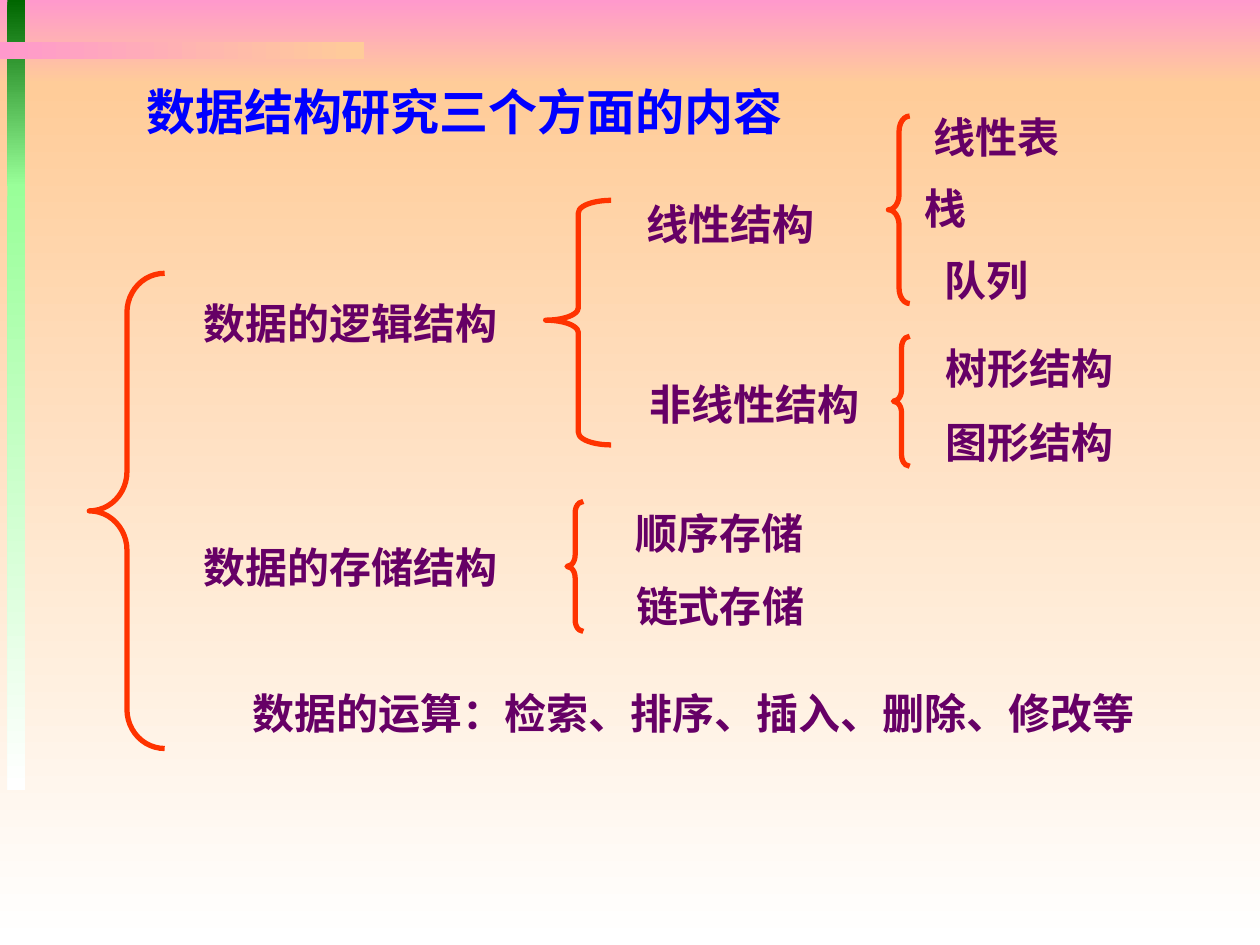
from pptx import Presentation
from pptx.dml.color import RGBColor as Rgb
from pptx.enum.shapes import MSO_SHAPE as Kind
from pptx.enum.text import MSO_ANCHOR as Anchor, MSO_AUTO_SIZE as Auto, PP_ALIGN as Align
from pptx.util import Cm, Pt

HUES = {
    "pink": "FF99CC", "peach": "FFCC99", "white": "FFFFFF",
    "green": "006600", "mint": "99FF99",
    "brace": "FF3300", "text": "660066", "title": "0000FF",
}
DOWN, ACROSS = 270, 0

BANDS = [
    ((0, 0, 25.4, 1.7), "pink", "peach", DOWN),
    ((0, 1.7, 25.4, 17.35), "peach", "white", DOWN),
    ((0.15, 0, 0.36, 3.76), "green", "mint", DOWN),
    ((0.15, 3.71, 0.36, 12.22), "mint", "white", DOWN),
    ((0, 0.84, 7.34, 0.36), "pink", "peach", ACROSS),
]

TREE = [
    ((1.8, 5.51, 1.52, 9.58), 0.52, 0.5, [
        ("数据的逻辑结构", 1.5, 0.28, 7.52, 1.45),
        ("数据的存储结构", 1.5, 5.18, 7.52, 1.45),
        ("数据的运算：检索、排序、插入、删除、修改等", 2.8, 8.13, 18.77, 1.45)]),
    ((11, 4.04, 1.32, 4.93), 0.19, 0.49, [
        ("线性结构", 1.24, -0.26, 4.98, 1.45),
        ("非线性结构", 1.62, 3.38, 5.18, 1.45)]),
    ((17.91, 2.34, 0.43, 3.78), 0.71, 0.5, [
        ("线性表", 0.66, -0.21, 3.05, 1.27),
        ("栈", 0.48, 1.22, 1.35, 1.27),
        ("队列", 0.45, 2.66, 3.05, 1.27)]),
    ((18.01, 6.78, 0.33, 2.62), 0.69, 0.5, [
        ("树形结构", 0.79, 0, 3.89, 1.27),
        ("图形结构", 0.79, 1.48, 3.89, 1.27)]),
    ((11.43, 10.11, 0.33, 2.62), 0.69, 0.5, [
        ("顺序存储", 0.84, -0.1, 4.47, 1.45),
        ("链式存储", 0.33, 1.37, 5.51, 1.45)]),
]


def color(name):
    """Return the named colour."""
    return Rgb.from_string(HUES[name])


def span(box):
    """Turn a box in centimetres into lengths."""
    return [Cm(n) for n in box]


def write(frame, text, size, hue, wrap):
    """Put one centred bold line in a text frame."""
    look = {"word_wrap": wrap, "auto_size": Auto.NONE, "vertical_anchor": Anchor.MIDDLE}
    for key, val in look.items():
        setattr(frame, key, val)
    line = frame.paragraphs[0]
    line.alignment = Align.CENTER
    run = line.add_run()
    run.text = text
    for key, val in {"name": "Times New Roman", "size": Pt(size), "bold": True}.items():
        setattr(run.font, key, val)
    run.font.color.rgb = color(hue)


def add_band(slide, box, start, end, angle):
    """Draw one gradient band of the backdrop."""
    band = slide.shapes.add_shape(Kind.RECTANGLE, *span(box))
    band.shadow.inherit = False
    band.line.fill.background()
    band.fill.gradient()
    band.fill.gradient_angle = angle
    for stop, hue in zip(band.fill.gradient_stops, (start, end)):
        stop.color.rgb = color(hue)


def add_title(slide, box, text):
    """Place the title in front of the backdrop."""
    title = slide.shapes.title
    slide.shapes._spTree.append(title._element)
    for key, val in zip(("left", "top", "width", "height"), span(box)):
        setattr(title, key, val)
    write(title.text_frame, text, 28, "title", True)


def add_branch(slide, box, curve, mid, labels):
    """Draw a brace in its box and the labels set off from its corner."""
    brace = slide.shapes.add_shape(Kind.LEFT_BRACE, *span(box))
    brace.shadow.inherit = False
    brace.fill.background()
    brace.line.color.rgb = color("brace")
    brace.line.width = Pt(3)
    brace.adjustments[0] = curve
    brace.adjustments[1] = mid
    left, top = box[:2]
    for text, dx, dy, wide, high in labels:
        label = slide.shapes.add_textbox(*span((left + dx, top + dy, wide, high)))
        write(label.text_frame, text, 24, "text", False)


def main():
    """Build the slide and save it."""
    deck = Presentation()
    deck.slide_width, deck.slide_height = Cm(25.4), Cm(19.05)
    slide = deck.slides.add_slide(deck.slide_layouts[5])
    for band in BANDS:
        add_band(slide, *band)
    add_title(slide, (1.45, 1.52, 15.82, 1.45), "数据结构研究三个方面的内容")
    for branch in TREE:
        add_branch(slide, *branch)
    deck.save("out.pptx")


if __name__ == "__main__":
    main()
